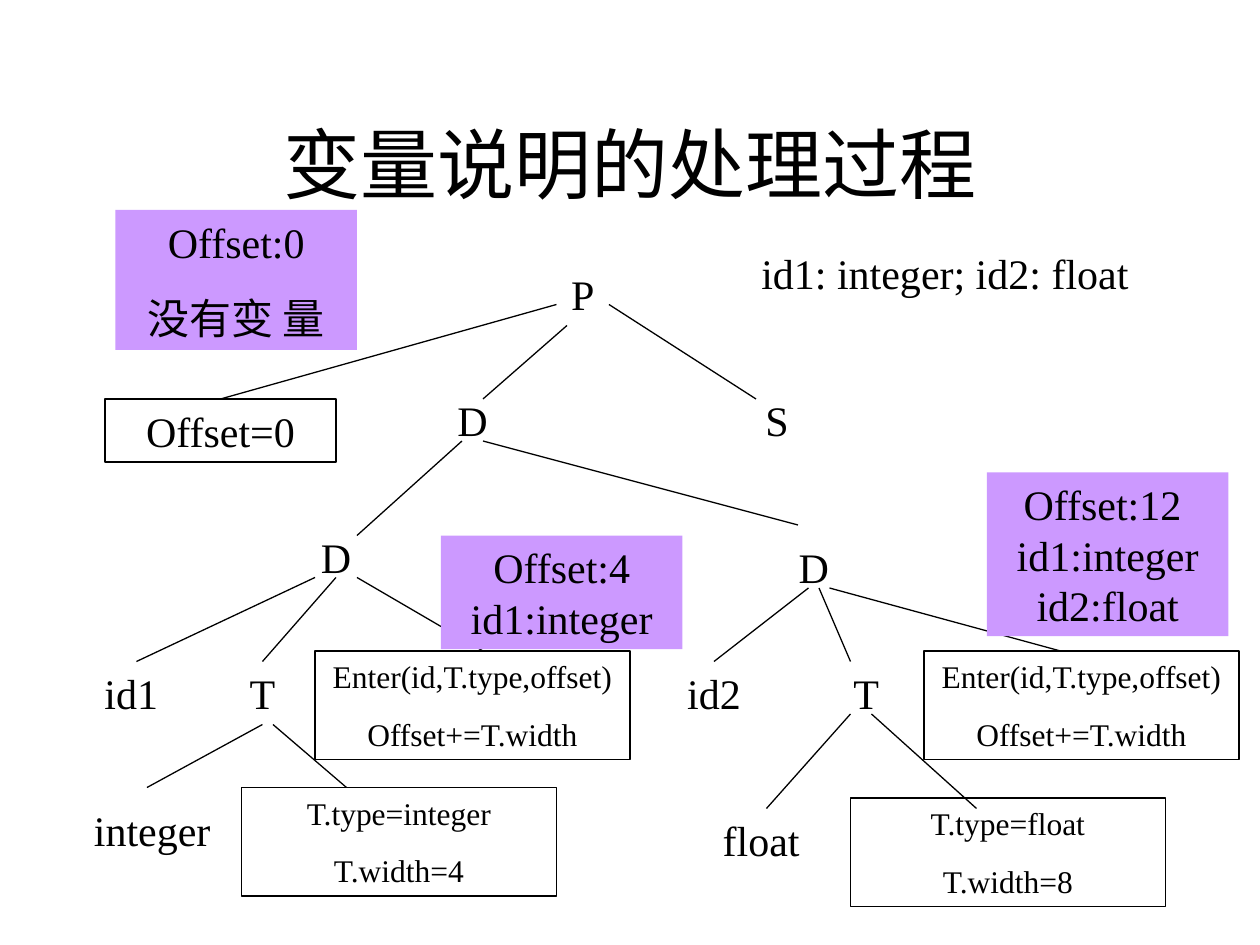
"""Build a slide showing how variable declarations are processed in a parse tree."""
from dataclasses import dataclass
from typing import Optional

from lxml.etree import SubElement
from pptx import Presentation
from pptx.dml.color import RGBColor
from pptx.enum.shapes import MSO_CONNECTOR, MSO_SHAPE
from pptx.enum.text import MSO_ANCHOR, MSO_AUTO_SIZE, PP_ALIGN
from pptx.oxml.ns import qn
from pptx.util import Pt


@dataclass(frozen=True)
class Theme:
    font: str = "Times New Roman"
    ink: RGBColor = RGBColor(0, 0, 0)
    note_fill: RGBColor = RGBColor(0xCC, 0x99, 0xFF)
    title_size: float = 44
    label_size: float = 24
    action_size: float = 18
    line_width: float = 0.75


@dataclass(frozen=True)
class Label:
    text: str
    left: float
    top: float
    width: float
    height: float = 36
    size: float = 24
    gap: float = 0
    outlined: bool = False
    fill: Optional[RGBColor] = None


@dataclass(frozen=True)
class Edge:
    start: tuple[float, float]
    end: tuple[float, float]


THEME = Theme()


def action(text: str, left: float, top: float) -> Label:
    return Label(text, left, top, 180, 62, THEME.action_size, 11.2, outlined=True)


def note(text: str, left: float, top: float, height: float, gap: float = 0) -> Label:
    return Label(text, left, top, 138, height, THEME.label_size, gap, fill=THEME.note_fill)


NODES = [
    Label("P", 300, 150, 66),
    Label("D", 234, 222, 72),
    Label("S", 408, 222, 72),
    Label("Offset=0", 60, 228, 132, outlined=True),
    Label("D", 144, 300, 96),
    Label("D", 432, 306, 66),
    Label("id1", 42, 378, 66),
    Label("T", 126, 378, 48),
    Label("integer", 24, 456, 126),
    Label("id2", 366, 378, 84),
    Label("T", 468, 378, 54),
    Label("float", 384, 462, 102),
    Label("id1: integer; id2: float", 372, 138, 336),
]

ENTER_ACTION = "Enter(id,T.type,offset)\nOffset+=T.width"

ACTIONS = [
    action(ENTER_ACTION, 180, 372),
    action(ENTER_ACTION, 528, 372),
    action("T.type=integer\nT.width=4", 138, 450),
    action("T.type=float\nT.width=8", 486, 456),
]

NOTES = [
    note("Offset:0\n没有变 量", 66, 120, 80, gap=15),
    note("Offset:4\nid1:integer", 252, 306, 65),
    note("Offset:12 \nid1:integer\nid2:float", 564, 270, 93.6),
]

EDGES = [
    Edge((324, 186), (276, 228)),
    Edge((126, 228), (318, 174)),
    Edge((348, 174), (432, 228)),
    Edge((264, 252), (204, 306)),
    Edge((276, 252), (456, 300)),
    Edge((180, 330), (78, 378)),
    Edge((192, 330), (150, 378)),
    Edge((204, 330), (276, 372)),
    Edge((150, 414), (84, 450)),
    Edge((156, 414), (198, 450)),
    Edge((462, 336), (408, 378)),
    Edge((468, 336), (486, 378)),
    Edge((474, 336), (606, 372)),
    Edge((486, 408), (438, 462)),
    Edge((498, 408), (558, 462)),
]


def write_text(box, text: str, size: float, gap: float = 0) -> None:
    frame = box.text_frame
    frame.text = text
    frame.word_wrap = True
    for index, para in enumerate(frame.paragraphs):
        para.alignment = PP_ALIGN.CENTER
        para.space_before = Pt(gap if index else 0)
        for span in para.runs:
            span.font.name = THEME.font
            span.font.size = Pt(size)
            span.font.color.rgb = THEME.ink


def draw_label(page, label: Label) -> None:
    place = [Pt(value) for value in (label.left, label.top, label.width, label.height)]
    if label.outlined or label.fill is not None:
        box = page.shapes.add_shape(MSO_SHAPE.RECTANGLE, *place)
        box.shadow.inherit = False
    else:
        box = page.shapes.add_textbox(*place)
    if label.fill is None:
        box.fill.background()
    else:
        box.fill.solid()
        box.fill.fore_color.rgb = label.fill
    if label.outlined:
        box.line.color.rgb = THEME.ink
        box.line.width = Pt(THEME.line_width)
    else:
        box.line.fill.background()
    write_text(box, label.text, label.size, label.gap)
    box.text_frame.vertical_anchor = MSO_ANCHOR.TOP
    box.text_frame.auto_size = MSO_AUTO_SIZE.SHAPE_TO_FIT_TEXT


def draw_edge(page, edge: Edge) -> None:
    ends = [Pt(value) for value in (*edge.start, *edge.end)]
    line = page.shapes.add_connector(MSO_CONNECTOR.STRAIGHT, *ends)
    line.line.color.rgb = THEME.ink
    line.line.width = Pt(THEME.line_width)
    SubElement(line._element.spPr, qn("a:effectLst"))


def draw_title(page, text: str) -> None:
    title = page.shapes.title
    title.left, title.top, title.width, title.height = Pt(54), Pt(48), Pt(612), Pt(90)
    write_text(title, text, THEME.title_size)
    title.text_frame.vertical_anchor = MSO_ANCHOR.MIDDLE
    title.text_frame.auto_size = MSO_AUTO_SIZE.NONE


def main() -> None:
    deck = Presentation()
    deck.slide_width, deck.slide_height = Pt(720), Pt(540)
    page = deck.slides.add_slide(deck.slide_layouts.get_by_name("Title Only"))
    draw_title(page, "变量说明的处理过程")
    for edge in EDGES:
        draw_edge(page, edge)
    for label in NODES + ACTIONS + NOTES:
        draw_label(page, label)
    deck.save("out.pptx")


if __name__ == "__main__":
    main()
